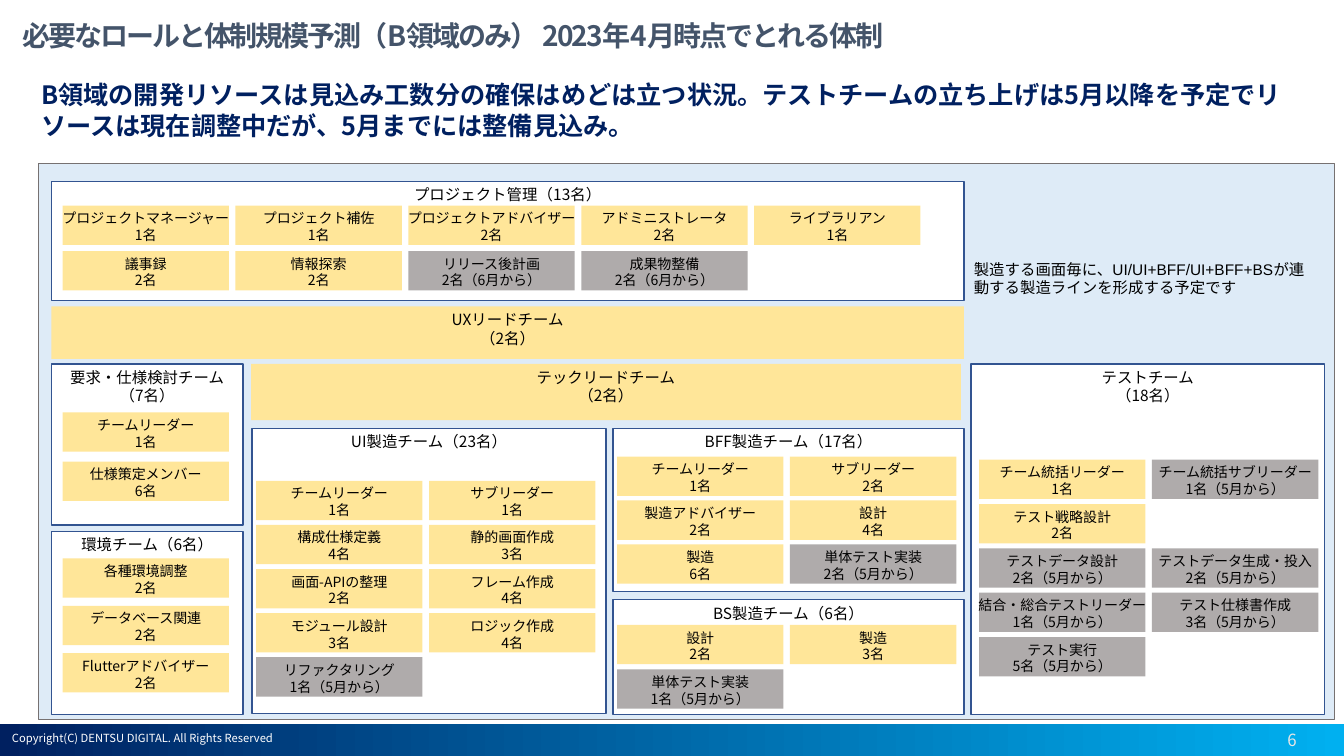
from dataclasses import dataclass
from lxml.etree import SubElement
from pptx import Presentation
from pptx.dml.color import RGBColor
from pptx.enum.shapes import MSO_SHAPE
from pptx.enum.text import MSO_ANCHOR, MSO_AUTO_SIZE, PP_ALIGN
from pptx.oxml.ns import qn
from pptx.util import Inches, Pt


@dataclass(frozen=True)
class Theme:
    """Colours, fonts and type sizes of the slide."""
    navy: str = "002060"
    sky: str = "00B0F0"
    slate: str = "44546A"
    pale: str = "DEEBF7"
    edge: str = "767171"
    blue: str = "325491"
    ready: str = "FFE699"
    later: str = "AFABAB"
    white: str = "FFFFFF"
    light: str = "E7E6E6"
    black: str = "000000"
    sans: str = "Noto Sans CJK JP"
    latin: str = "Arial"
    title: int = 20
    lead: int = 18
    page: int = 12
    team: int = 11
    role: int = 10
    foot: int = 8


T = Theme()
CHIP = (1.65, 0.39)
STEP = 1.715

TEAMS = [
    ((0.51, 1.8, 9.05, 1.18), ["プロジェクト管理（13名）"], (0.11, 0.24, 0.45), [
        [("プロジェクトマネージャー", 1), ("プロジェクト補佐", 1), ("プロジェクトアドバイザー", 2),
         ("アドミニストレータ", 2), ("ライブラリアン", 1)],
        [("議事録", 2), ("情報探索", 2), ("リリース後計画", 2, 6), ("成果物整備", 2, 6)]]),
    ((0.51, 3.61, 1.9, 1.6), ["要求・仕様検討チーム", "（7名）"], (0.11, 0.48, 0.49), [
        [("チームリーダー", 1)], [("仕様策定メンバー", 6)]]),
    ((0.51, 5.27, 1.9, 1.82), ["環境チーム（6名）"], (0.11, 0.27, 0.47), [
        [("各種環境調整", 2)], [("データベース関連", 2)], [("Flutterアドバイザー", 2)]]),
    ((2.5, 4.25, 3.51, 2.83), ["UI製造チーム（23名）"], (0.04, 0.52, 0.4375), [
        [("チームリーダー", 1), ("サブリーダー", 1)],
        [("構成仕様定義", 4), ("静的画面作成", 3)],
        [("画面-APIの整理", 2), ("フレーム作成", 4)],
        [("モジュール設計", 3), ("ロジック作成", 4)],
        [("リファクタリング", 1, 5)]]),
    ((6.08, 4.25, 3.48, 1.62), ["BFF製造チーム（17名）"], (0.04, 0.28, 0.435), [
        [("チームリーダー", 1), ("サブリーダー", 2)],
        [("製造アドバイザー", 2), ("設計", 4)],
        [("製造", 6), ("単体テスト実装", 2, 5)]]),
    ((6.08, 5.95, 3.48, 1.14), ["BS製造チーム（6名）"], (0.04, 0.25, 0.44), [
        [("設計", 2), ("製造", 3)], [("単体テスト実装", 1, 5)]]),
    ((9.63, 3.61, 3.51, 3.48), ["テストチーム", "（18名）"], (0.08, 0.95, 0.44), [
        [("チーム統括リーダー", 1), ("チーム統括サブリーダー", 1, 5)],
        [("テスト戦略設計", 2)],
        [("テストデータ設計", 2, 5), ("テストデータ生成・投入", 2, 5)],
        [("結合・総合テストリーダー", 1, 5), ("テスト仕様書作成", 3, 5)],
        [("テスト実行", 5, 5)]]),
]

LEADS = [
    ((2.49, 3.61, 7.04, 0.56), ["テックリードチーム", "（2名）"]),
    ((0.51, 3.04, 9.05, 0.52), ["UXリードチーム", "（2名）"]),
]


def style(para, size, color=T.black, bold=False, face=T.sans, align=PP_ALIGN.LEFT):
    """Format one paragraph."""
    para.alignment = align
    font = para.font
    font.size, font.bold, font.name = Pt(size), bold, face
    font.color.rgb = RGBColor.from_string(color)
    SubElement(para._p.pPr.find(qn("a:defRPr")), qn("a:ea")).set("typeface", T.sans)


def block(slide, box, fill, line=None, width=1, lines=(), size=T.team):
    """Draw a rectangle with centred lines at its top."""
    shape = slide.shapes.add_shape(MSO_SHAPE.RECTANGLE, *map(Inches, box))
    shape.shadow.inherit = False
    shape.fill.solid()
    shape.fill.fore_color.rgb = RGBColor.from_string(fill)
    if line:
        shape.line.color.rgb = RGBColor.from_string(line)
        shape.line.width = Pt(width)
    else:
        shape.line.fill.background()
    if lines:
        frame = shape.text_frame
        frame.word_wrap = False
        frame.vertical_anchor = MSO_ANCHOR.TOP
        frame.margin_top = frame.margin_bottom = Inches(0.04)
        frame.text = "\n".join(lines)
        for para in frame.paragraphs:
            style(para, size, align=PP_ALIGN.CENTER)
    return shape


def label(slide, box, text, size, anchor=MSO_ANCHOR.TOP, **look):
    """Add a wrapped text box."""
    frame = slide.shapes.add_textbox(*map(Inches, box)).text_frame
    frame.word_wrap = True
    frame.vertical_anchor = anchor
    frame.text = text
    style(frame.paragraphs[0], size, **look)


def head(slide, box):
    """Place the slide title."""
    title = slide.shapes.title
    title.left, title.top, title.width, title.height = map(Inches, box)
    frame = title.text_frame
    frame.text = "必要なロールと体制規模予測（B領域のみ） 2023年4月時点でとれる体制"
    frame.auto_size = MSO_AUTO_SIZE.NONE
    frame.vertical_anchor = MSO_ANCHOR.MIDDLE
    frame.margin_left = frame.margin_right = frame.margin_top = frame.margin_bottom = 0
    para = frame.paragraphs[0]
    para.line_spacing = 0.9
    style(para, T.title, T.slate, True)
    para.runs[0]._r.get_or_add_rPr().set("spc", "-150")


def team(slide, box, lines, grid, rows):
    """Draw a team frame and its grid of roles."""
    block(slide, box, T.white, T.blue, lines=lines)
    left, top, pitch = box[0] + grid[0], box[1] + grid[1], grid[2]
    for r, row in enumerate(rows):
        for c, (name, count, *month) in enumerate(row):
            note = f"（{month[0]}月から）" if month else ""
            block(slide, (left + c * STEP, top + r * pitch, *CHIP),
                  T.later if month else T.ready,
                  lines=[name, f"{count}名{note}"], size=T.role)


def chart(slide, box):
    """Draw the panel with all teams."""
    block(slide, box, T.pale, T.edge, 0.75)
    for item in TEAMS:
        team(slide, *item)
    for spot, lines in LEADS:
        block(slide, spot, T.ready, lines=lines)
    x, y = box[:2]
    label(slide, (x + 9.18, y + 0.91, 3.49, 0.47),
          "製造する画面毎に、UI/UI+BFF/UI+BFF+BSが連動する製造ラインを形成する予定です",
          T.team, face=T.latin)


def foot(slide, box):
    """Draw the footer band, copyright line and page number."""
    x, y = box[:2]
    fill = block(slide, box, T.navy).fill
    fill.gradient()
    fill.gradient_angle = 0
    for stop, color, place in zip(fill.gradient_stops, (T.navy, T.sky), (0, 1)):
        stop.color.rgb = RGBColor.from_string(color)
        stop.position = place
    label(slide, (x + 0.02, y + 0.03, 3.32, 0.24),
          "Copyright(C) DENTSU DIGITAL. All Rights Reserved", T.foot, color=T.white)
    label(slide, (x + 12.33, y + 0.04, 0.97, 0.23), "6", T.page, MSO_ANCHOR.MIDDLE,
          color=T.light, align=PP_ALIGN.CENTER)


def main():
    """Build and save the slide."""
    deck = Presentation()
    deck.slide_width, deck.slide_height = Inches(13.33), Inches(7.5)
    slide = deck.slides.add_slide(deck.slide_layouts[5])
    foot(slide, (0, 7.18, 13.33, 0.32))
    head(slide, (0.22, 0.17, 12.36, 0.4))
    label(slide, (0.31, 0.74, 12.76, 0.69),
          "B領域の開発リソースは見込み工数分の確保はめどは立つ状況。テストチームの立ち上げは5月以降を予定で"
          "リソースは現在調整中だが、5月までには整備見込み。", T.lead, color=T.navy, bold=True)
    chart(slide, (0.38, 1.62, 12.86, 5.52))
    deck.save("out.pptx")


if __name__ == "__main__":
    main()
